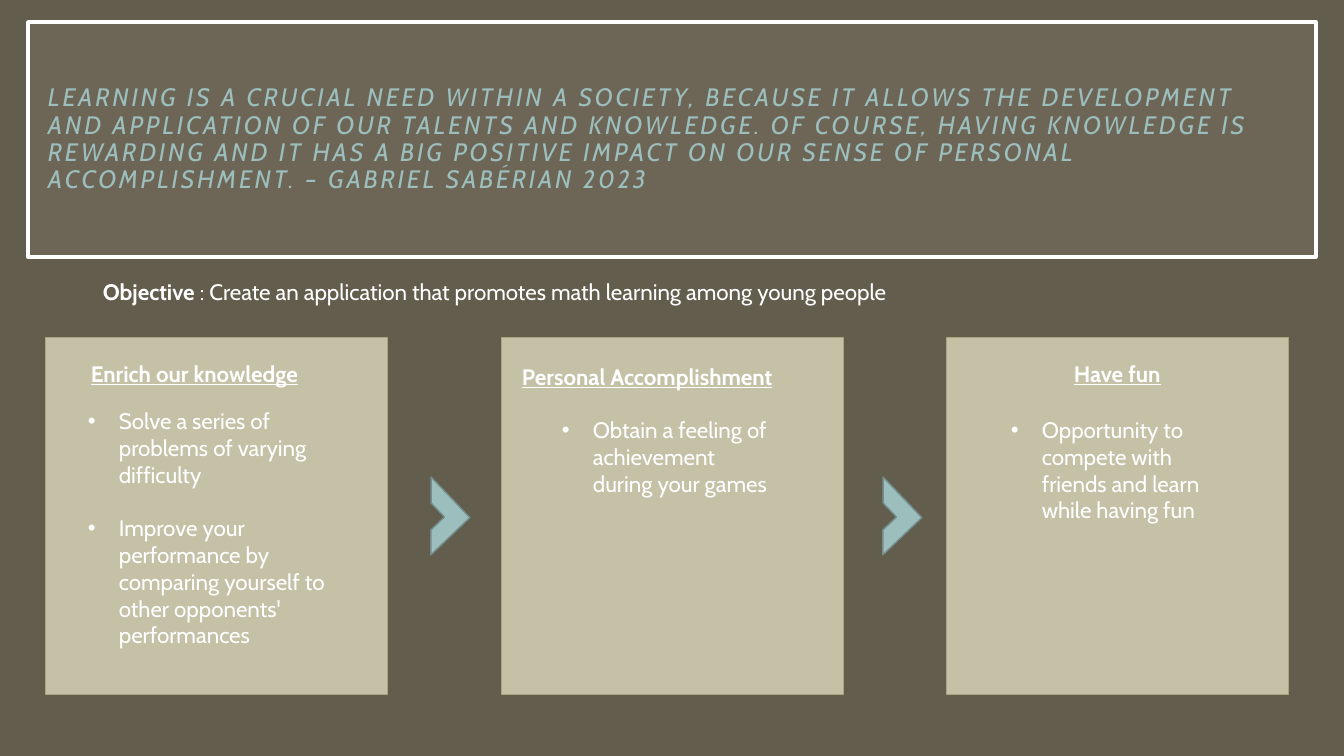
"""Build the slide that presents the learning objective and its three goals."""
from lxml.etree import SubElement
from pptx import Presentation
from pptx.dml.color import RGBColor
from pptx.enum.shapes import MSO_SHAPE
from pptx.enum.text import MSO_ANCHOR
from pptx.oxml.ns import qn
from pptx.util import Emu, Pt

QUOTE = ("LEARNING IS A CRUCIAL NEED WITHIN A SOCIETY, BECAUSE IT ALLOWS THE DEVELOPMENT AND "
         "APPLICATION OF OUR TALENTS AND KNOWLEDGE. OF COURSE, HAVING KNOWLEDGE IS REWARDING AND "
         "IT HAS A BIG POSITIVE IMPACT ON OUR SENSE OF PERSONAL ACCOMPLISHMENT. "
         "– GABRIEL SABÉRIAN 2023")
OBJECTIVE = ("Objective", " : Create an application that promotes math learning among young people")
GOALS = [
    {"left": 45, "heading": "Enrich our knowledge", "heading_box": (81, 355, 284, 37),
     "points": ["Solve a series of problems of varying difficulty",
                "Improve your performance by comparing yourself to other opponents' performances"],
     "points_box": (78, 402, 267, 254)},
    {"left": 501, "heading": "Personal Accomplishment", "heading_box": (512, 358, 383, 37),
     "points": ["Obtain a feeling of achievement during your games"],
     "points_box": (552, 411, 232, 119)},
    {"left": 946, "heading": "Have fun", "heading_box": (1064, 355, 207, 37),
     "points": ["Opportunity to compete with friends and learn while having fun"],
     "points_box": (1001, 411, 232, 119)},
]
ARROW_LEFTS = [404, 856]
CARD_TOP, CARD_WIDTH, CARD_HEIGHT = 337, 342, 357
ARROW_TOP, ARROW_WIDTH, ARROW_HEIGHT = 488, 54, 56
BULLET_INDENT = 31
FONT = "Cabin"
WHITE, TEAL = "FFFFFF", "9CBEBD"


def px(length):
    return Emu(round(length * 914400 / 100.8))


def color(hex_code):
    return RGBColor.from_string(hex_code)


def add_panel(kind, box, line, line_width):
    panel = slide.shapes.add_shape(kind, *map(px, box))
    panel.shadow.inherit = False
    panel.line.color.rgb = color(line)
    panel.line.width = Pt(line_width)
    return panel


def add_box(box):
    frame = slide.shapes.add_textbox(*map(px, box)).text_frame
    frame.word_wrap = True
    return frame


def write(paragraph, text, size=16, fill=WHITE, bold=False, italic=False, underline=False, spacing=0):
    run = paragraph.add_run()
    run.text = text
    font = run.font
    font.name, font.size = FONT, Pt(size)
    font.bold, font.italic, font.underline = bold, italic, underline
    font.color.rgb = color(fill)
    if spacing:
        run._r.get_or_add_rPr().set("spc", str(spacing * 100))


def add_bullet(paragraph):
    properties = paragraph._p.get_or_add_pPr()
    properties.set("marL", str(px(BULLET_INDENT)))
    properties.set("indent", str(-px(BULLET_INDENT)))
    SubElement(properties, qn("a:buFont")).set("typeface", "Arial")
    SubElement(properties, qn("a:buChar")).set("char", "•")


def add_quote():
    panel = add_panel(MSO_SHAPE.RECTANGLE, (28, 22, 1288, 235), WHITE, 2.5)
    panel.fill.solid()
    panel.fill.fore_color.rgb = color("A7A08E")
    tint = panel._element.spPr.find(qn("a:solidFill"))[0]
    SubElement(tint, qn("a:alpha")).set("val", "15000")
    frame = panel.text_frame
    frame.word_wrap = True
    frame.vertical_anchor = MSO_ANCHOR.MIDDLE
    frame.margin_left = frame.margin_right = frame.margin_top = frame.margin_bottom = px(20)
    paragraph = frame.paragraphs[0]
    paragraph.alignment = 1
    paragraph.line_spacing = 0.9
    write(paragraph, QUOTE, size=18, fill=TEAL, italic=True, spacing=2)


def add_goal(goal):
    card = add_panel(MSO_SHAPE.RECTANGLE, (goal["left"], CARD_TOP, CARD_WIDTH, CARD_HEIGHT), "A9A57C", 0.5)
    card.fill.gradient()
    card.fill.gradient_angle = 270
    for stop, shade, position in zip(card.fill.gradient_stops, ("C4C1A7", "C2BFA4"), (0, 1)):
        stop.color.rgb = color(shade)
        stop.position = position
    write(add_box(goal["heading_box"]).paragraphs[0], goal["heading"], bold=True, underline=True)
    frame = add_box(goal["points_box"])
    for index, point in enumerate(goal["points"]):
        paragraph = frame.add_paragraph() if index else frame.paragraphs[0]
        if index:
            paragraph.space_before = Pt(19)
        add_bullet(paragraph)
        write(paragraph, point)


def add_arrow(left):
    arrow = add_panel(MSO_SHAPE.HALF_FRAME, (left, ARROW_TOP, ARROW_WIDTH, ARROW_HEIGHT), "738D8C", 1)
    arrow.fill.solid()
    arrow.fill.fore_color.rgb = color(TEAL)
    arrow.rotation = 136.3


presentation = Presentation()
presentation.slide_width, presentation.slide_height = px(1344), px(756)
slide = presentation.slides.add_slide(presentation.slide_layouts[6])
slide.background.fill.solid()
slide.background.fill.fore_color.rgb = color("635D4D")

add_quote()
objective = add_box((93, 273, 1159, 39)).paragraphs[0]
for part, is_bold in zip(OBJECTIVE, (True, False)):
    write(objective, part, bold=is_bold)
for goal in GOALS:
    add_goal(goal)
for arrow_left in ARROW_LEFTS:
    add_arrow(arrow_left)

presentation.save("out.pptx")
